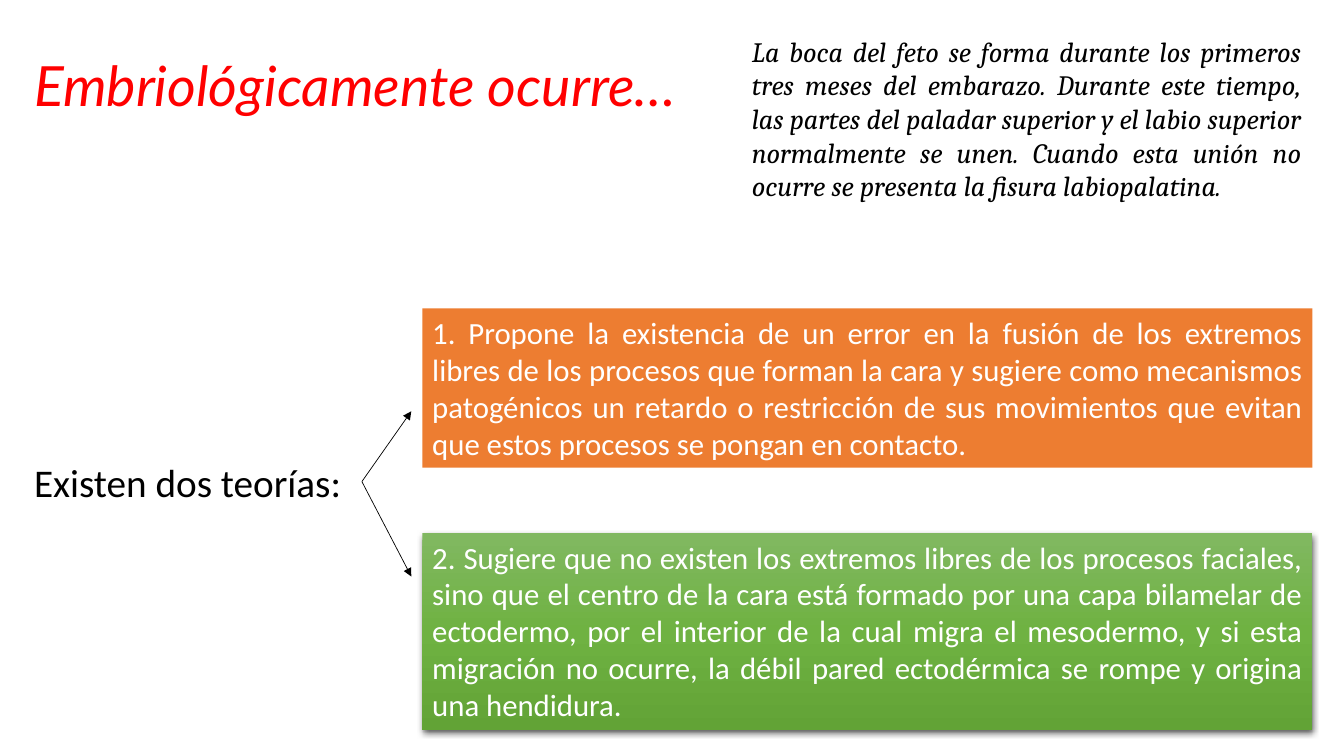
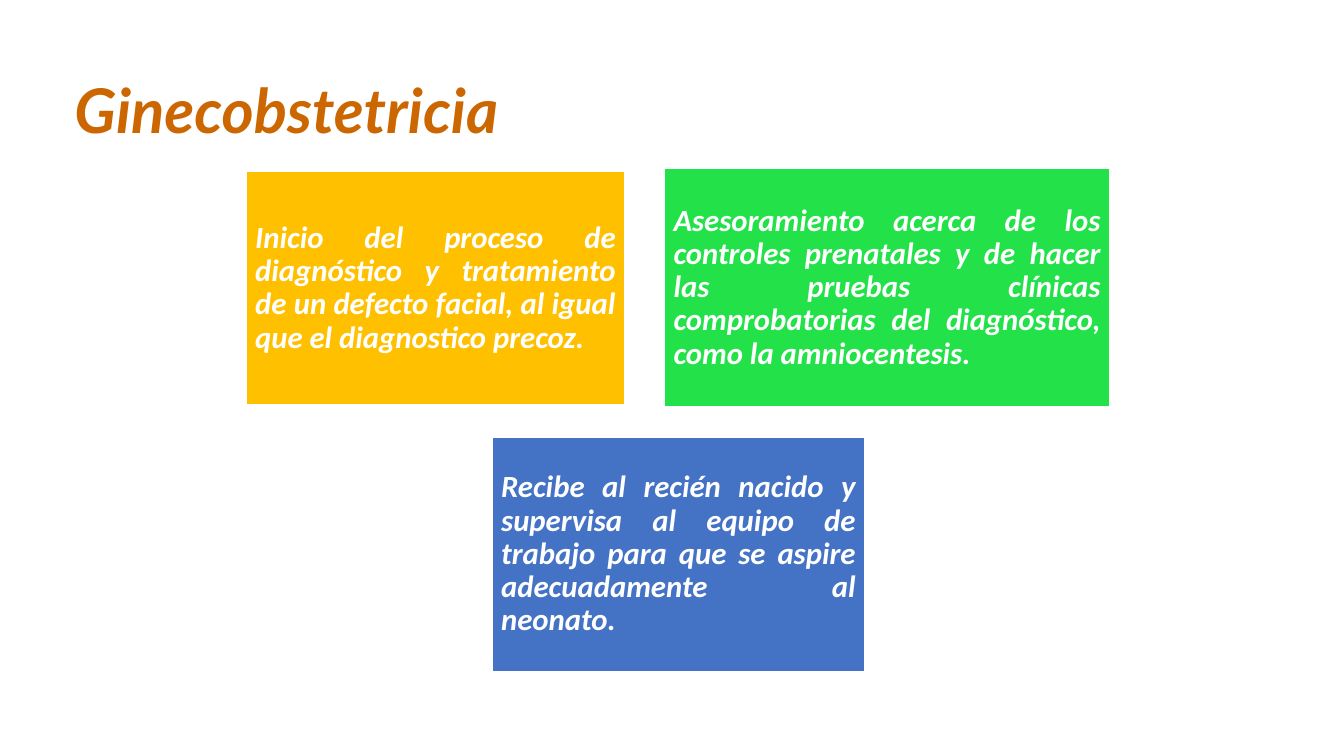
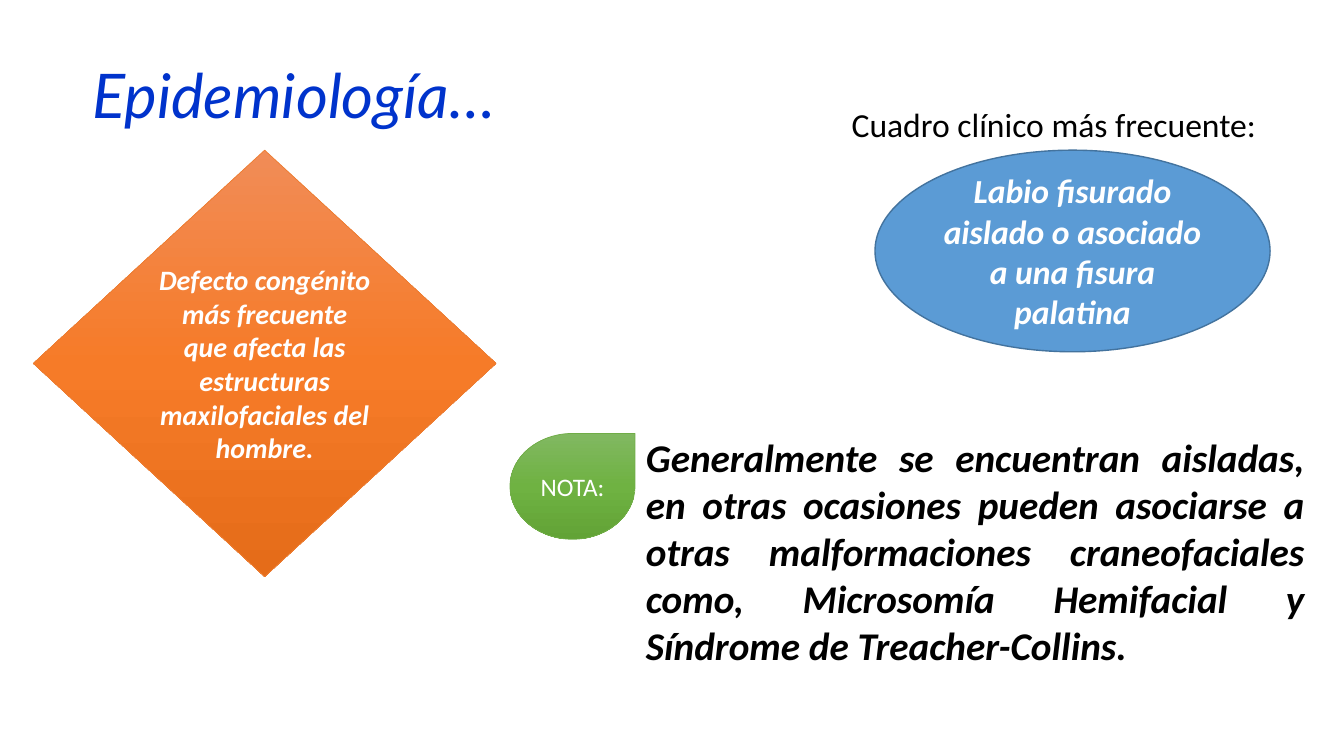
from copy import deepcopy

from lxml import etree
from pptx import Presentation
from pptx.dml.color import RGBColor
from pptx.enum import shapes, text
from pptx.oxml import ns
from pptx.util import Pt

BLACK = RGBColor(0x00, 0x00, 0x00)
WHITE = RGBColor(0xFF, 0xFF, 0xFF)
RED = RGBColor(0xFF, 0x00, 0x00)
OCHRE = RGBColor(0xCC, 0x66, 0x00)
ROYAL = RGBColor(0x00, 0x33, 0xCC)
ORANGE = RGBColor(0xED, 0x7D, 0x31)
AMBER = RGBColor(0xFF, 0xC0, 0x00)
LIME = RGBColor(0x23, 0xE1, 0x48)
INDIGO = RGBColor(0x44, 0x72, 0xC4)
SKY = RGBColor(0x5B, 0x9B, 0xD5)
SKY_EDGE = RGBColor(0x43, 0x73, 0x9E)
GREEN = RGBColor(0x70, 0xAD, 0x47)
GREEN_FADE = (RGBColor(0x81, 0xB8, 0x61), RGBColor(0x6F, 0xB2, 0x42), RGBColor(0x62, 0xA3, 0x36))
ORANGE_FADE = (RGBColor(0xF1, 0x8C, 0x57), RGBColor(0xF6, 0x7B, 0x28), RGBColor(0xE5, 0x6C, 0x19))

LEFT, CENTER, JUSTIFY = text.PP_ALIGN.LEFT, text.PP_ALIGN.CENTER, text.PP_ALIGN.JUSTIFY
TOP, MIDDLE = text.MSO_ANCHOR.TOP, text.MSO_ANCHOR.MIDDLE
PRESET = shapes.MSO_SHAPE


class Deck:
    """Holds the shared style and the slide being built."""

    BODY_FONT = "Calibri"
    TITLE_FONT = "Lato"

    def __init__(self):
        self.show = Presentation()
        self.show.slide_width, self.show.slide_height = Pt(960), Pt(540)
        self.slide = None

    def new_slide(self, title, box, color, size=44, bold=False):
        self.slide = self.show.slides.add_slide(self.show.slide_layouts[6])
        self.label(title, box, size, color=color, font=self.TITLE_FONT, bold=bold,
                   italic=True, anchor=MIDDLE, spacing=0.9)

    def set_words(self, shape, words, size, color=BLACK, font=BODY_FONT, bold=False, italic=False,
                  align=LEFT, anchor=TOP, spacing=None, inset=None):
        frame = shape.text_frame
        frame.word_wrap = True
        frame.vertical_anchor = anchor
        if inset is not None:
            frame.margin_left = frame.margin_right = Pt(inset)
            frame.margin_top = frame.margin_bottom = Pt(inset)
        paragraph = frame.paragraphs[0]
        paragraph.alignment = align
        if spacing:
            paragraph.line_spacing = spacing
        run = paragraph.add_run()
        run.text = words
        run.font.name, run.font.size, run.font.color.rgb = font, Pt(size), color
        run.font.bold, run.font.italic = bold, italic

    def label(self, words, box, size, **style):
        shape = self.slide.shapes.add_textbox(*map(Pt, box))
        self.set_words(shape, words, size, **style)
        return shape

    def panel(self, words, box, size, fill, preset=PRESET.RECTANGLE, edge=None, edge_width=1,
              color=WHITE, **style):
        shape = self.slide.shapes.add_shape(preset, *map(Pt, box))
        shape.shadow.inherit = False
        if isinstance(fill, tuple) and not isinstance(fill, RGBColor):
            self.fade(shape, fill)
        else:
            shape.fill.solid()
            shape.fill.fore_color.rgb = fill
        if edge is None:
            shape.line.fill.background()
        else:
            shape.line.color.rgb = edge
            shape.line.width = Pt(edge_width)
        self.set_words(shape, words, size, color=color, **style)
        return shape

    def fade(self, shape, colors):
        shape.fill.gradient()
        shape.fill.gradient_angle = 270
        stops = shape._element.spPr.find(".//" + ns.qn("a:gsLst"))
        stops.append(deepcopy(stops[0]))
        for index, (stop, color) in enumerate(zip(shape.fill.gradient_stops, colors)):
            stop.position = index / 2
            stop.color.rgb = color

    def drop_shadow(self, shape):
        effects = shape._element.spPr.find(ns.qn("a:effectLst"))
        shadow = etree.SubElement(effects, ns.qn("a:outerShdw"), blurRad=str(int(Pt(4.5))),
                                  dist=str(int(Pt(1.5))), dir="5400000", algn="ctr", rotWithShape="0")
        tint = etree.SubElement(shadow, ns.qn("a:srgbClr"), val=str(BLACK))
        etree.SubElement(tint, ns.qn("a:alpha"), val="63000")

    def arrow(self, source, target):
        arrow = self.slide.shapes.add_connector(shapes.MSO_CONNECTOR.STRAIGHT, 0, 0, *map(Pt, target))
        arrow.begin_connect(source, 3)
        arrow.line.color.rgb = BLACK
        arrow.line.width = Pt(0.5)
        outline = arrow._element.spPr.find(ns.qn("a:ln"))
        etree.SubElement(outline, ns.qn("a:tailEnd"), type="triangle")
        etree.SubElement(arrow._element.spPr, ns.qn("a:effectLst"))


def embryology(deck):
    deck.new_slide("Embriológicamente ocurre…", (17.3, 18.7, 553, 89.3), RED, size=39.6)
    deck.panel("La boca del feto se forma durante los primeros tres meses del embarazo. Durante este "
               "tiempo, las partes del paladar superior y el labio superior normalmente se unen. "
               "Cuando esta unión no ocurre se presenta la fisura labiopalatina.",
               (529.9, 20.9, 406.8, 152.6), 20, WHITE, color=BLACK, font="Cambria",
               italic=True, align=JUSTIFY)
    theories = deck.label("Existen dos teorías:", (17.3, 323.5, 241.2, 41), 28)
    deck.panel("1. Propone la existencia de un error en la fusión de los extremos libres de los "
               "procesos que forman la cara y sugiere como mecanismos patogénicos un retardo o "
               "restricción de sus movimientos que evitan que estos procesos se pongan en contacto.",
               (301.7, 220.3, 635.8, 113.8), 22, ORANGE, align=JUSTIFY)
    second = deck.panel("2. Sugiere que no existen los extremos libres de los procesos faciales, sino "
                        "que el centro de la cara está formado por una capa bilamelar de ectodermo, "
                        "por el interior de la cual migra el mesodermo, y si esta migración no "
                        "ocurre, la débil pared ectodérmica se rompe y origina una hendidura.",
                        (301.7, 380.9, 635.8, 140.4), 22, GREEN_FADE, align=JUSTIFY)
    deck.drop_shadow(second)
    for height in (293.8, 411.8):
        deck.arrow(theories, (293.8, height))


def obstetrics(deck):
    deck.new_slide("Ginecobstetricia", (46.1, 28.8, 828, 104.4), OCHRE, bold=True)
    duties = (
        ("Inicio del proceso de diagnóstico y tratamiento de un defecto facial, al igual que el "
         "diagnostico precoz.", (175.7, 122.4, 270.7, 167), AMBER),
        ("Asesoramiento acerca de los controles prenatales y de hacer las pruebas clínicas "
         "comprobatorias del diagnóstico, como la amniocentesis.", (474.5, 120.2, 318.2, 170.6), LIME),
        ("Recibe al recién nacido y supervisa al equipo de trabajo para que se aspire "
         "adecuadamente al neonato.", (351.4, 312.5, 266.4, 167), INDIGO),
    )
    for duty, box, fill in duties:
        deck.panel(duty, box, 22, fill, edge=WHITE, bold=True, italic=True, align=JUSTIFY,
                   anchor=MIDDLE, spacing=0.9, inset=6.6)


def epidemiology(deck):
    deck.new_slide("Epidemiología…", (59, 18, 406, 104.4), ROYAL)
    centred = dict(align=CENTER, anchor=MIDDLE)
    strong = dict(bold=True, italic=True)
    deck.panel("Defecto congénito más frecuente que afecta las estructuras maxilofaciales del hombre.",
               (23.8, 107.3, 330.5, 304.6), 20, ORANGE_FADE, PRESET.DIAMOND, ORANGE, 0.5,
               **centred, **strong)
    deck.label("Cuadro clínico más frecuente:", (601.2, 70.6, 306, 36), 24)
    deck.panel("Labio fisurado aislado o asociado a una fisura palatina",
               (625, 107.3, 282.2, 144), 24, SKY, PRESET.OVAL, SKY_EDGE, **centred, **strong)
    deck.label("Generalmente se encuentran aisladas, en otras ocasiones pueden asociarse a otras "
               "malformaciones craneofaciales como, Microsomía Hemifacial y Síndrome de "
               "Treacher-Collins.", (454.3, 306, 484.6, 177.1), 28, align=JUSTIFY, **strong)
    deck.panel("NOTA:", (364.3, 309.6, 89.3, 75.6), 18, GREEN_FADE, PRESET.TEAR, GREEN, 0.5, **centred)


def main():
    deck = Deck()
    for build in (embryology, obstetrics, epidemiology):
        build(deck)
    deck.show.save("out.pptx")


if __name__ == "__main__":
    main()
